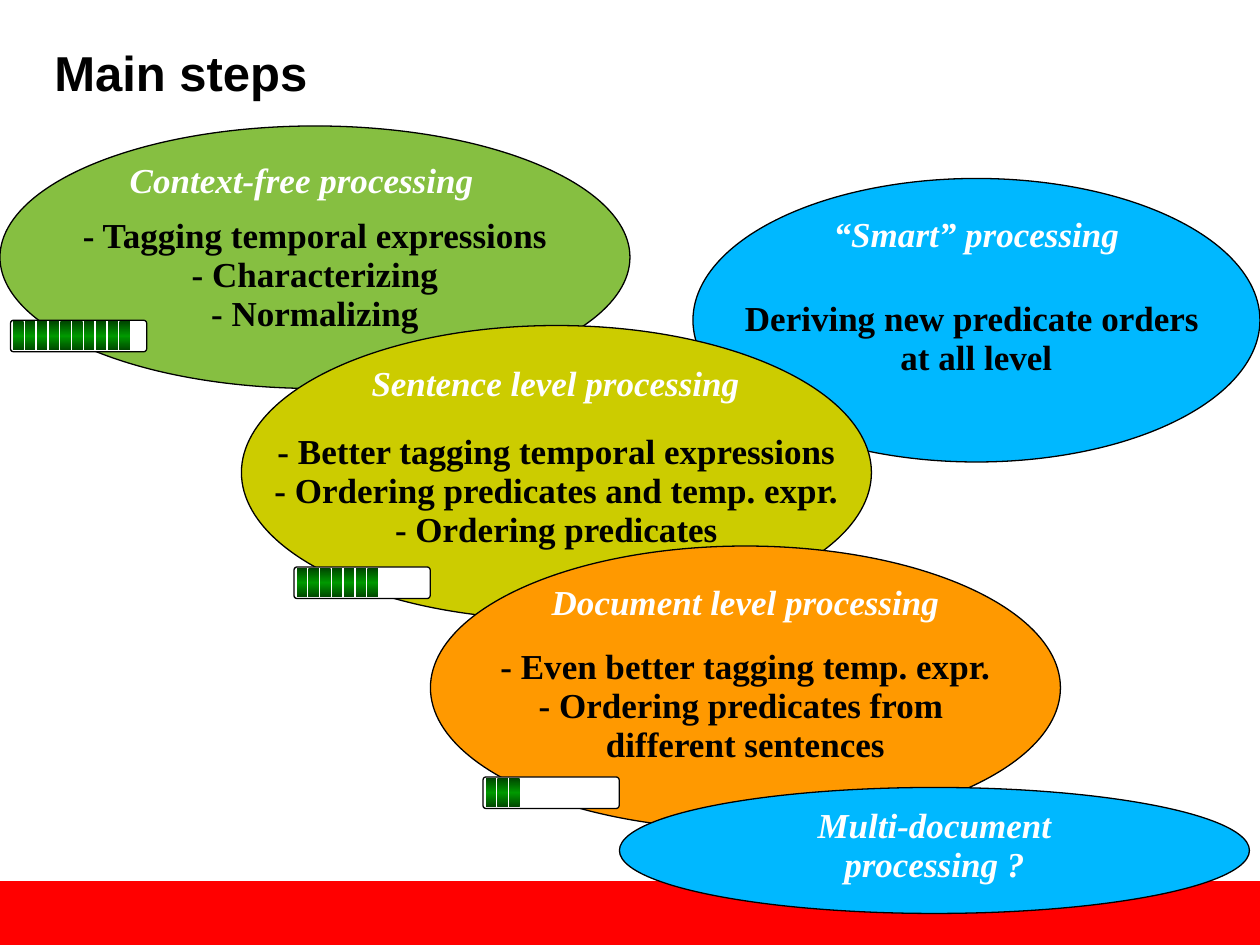
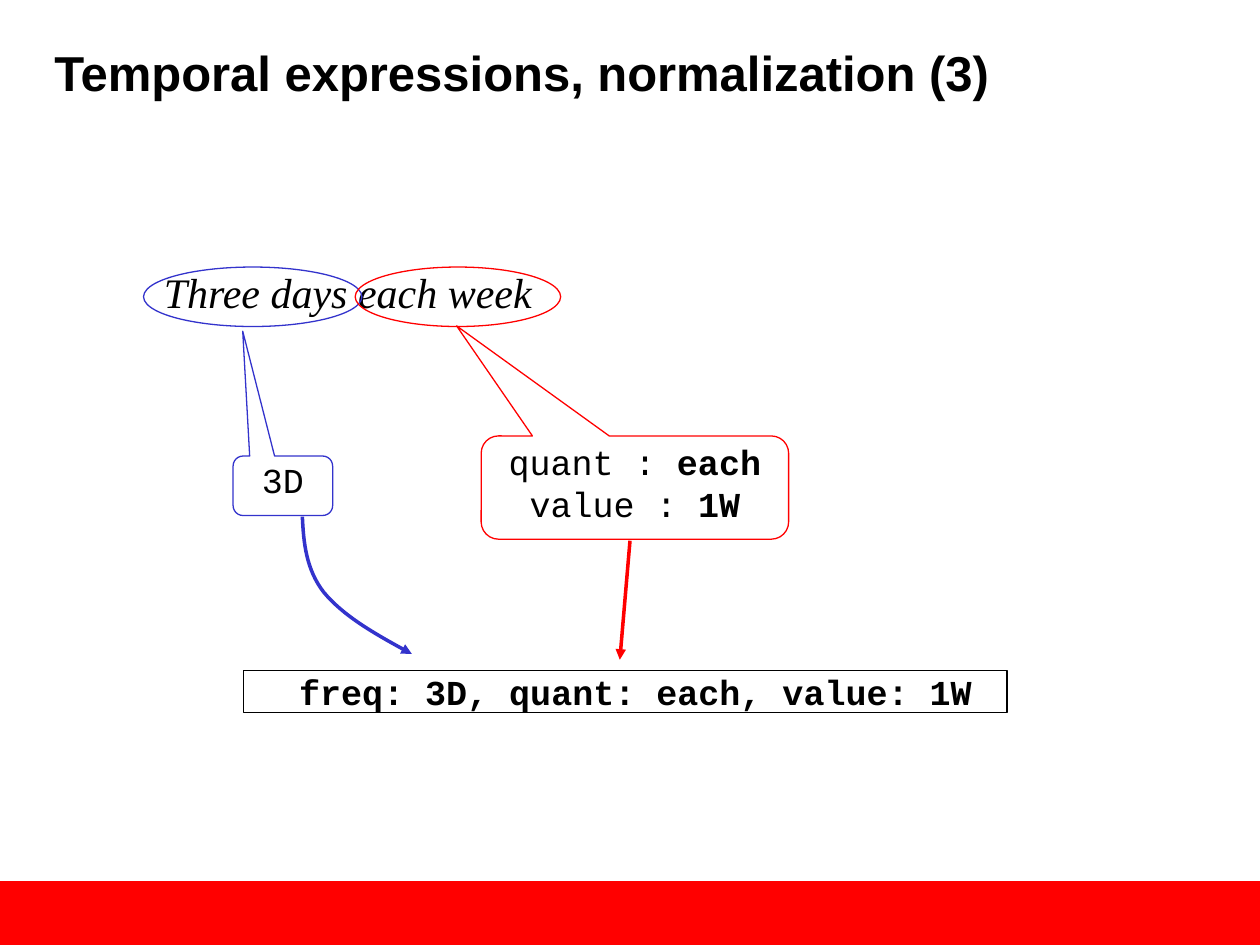
from copy import deepcopy

from lxml.etree import SubElement
from pptx import Presentation
from pptx.dml.color import RGBColor
from pptx.enum.shapes import MSO_CONNECTOR, MSO_SHAPE as Preset
from pptx.enum.text import MSO_ANCHOR as Anchor, PP_ALIGN as Align
from pptx.oxml.ns import qn
from pptx.util import Pt

COLORS = {
    "white": "FFFFFF", "black": "000000", "red": "FF0000", "blue": "3333CC",
    "sky": "00B8FF", "green": "86BF41", "olive": "CCCC00", "orange": "FF9900",
    "cell_dark": "004600", "cell_bright": "009900",
}
SANS, SERIF, MONO = "Arial", "Times New Roman", "Courier New"
SLIDE_SIZE = (720, 540)
BAND_BOX = (0, 503.5, 720, 36.5)
TITLE_BOX = (24, 24, 660, 55)
TEXT_INSETS = (7.2, 3.6, 7.2, 3.6)
BODY_INSETS = (7.2, 25.2, 7.2, 3.6)
NO_INSETS = (0, 0, 0, 0)
TIGHT = 0.93

STEPS_TITLE = "Main steps"
STEPS = [
    {"box": (396, 102, 324, 162), "color": "sky",
     "caption": "“Smart” processing", "caption_box": (456.5, 120.2, 203, 29.5),
     "body": ["Deriving new predicate orders ", "at all level"]},
    {"box": (0, 72, 360, 150), "color": "green", "align": Align.LEFT,
     "caption": "Context-free processing", "caption_box": (67, 89.2, 225.5, 29.5),
     "body": ["- Tagging temporal expressions", "- Characterizing", "- Normalizing"],
     "gauge": (6, 183), "cells": 10},
    {"box": (138, 186, 360, 168), "color": "olive", "align": Align.LEFT,
     "caption": "Sentence level processing", "caption_box": (205.2, 205.2, 225.5, 29.5),
     "body": ["- Better tagging temporal expressions",
              "- Ordering predicates and temp. expr.", "- Ordering predicates"],
     "gauge": (168, 324), "cells": 7},
    {"box": (246, 312, 360, 162), "color": "orange",
     "caption": "Document level processing", "caption_box": (288, 330.5, 276, 29.5),
     "body": ["- Even better tagging temp. expr.",
              "- Ordering predicates from \vdifferent sentences"],
     "gauge": (276, 444), "cells": 3},
    {"box": (354, 450, 360, 72), "color": "sky",
     "caption": "Multi-document processing ?", "caption_box": (421.2, 458, 225.5, 52)},
]
GAUGE_SIZE = (77.8, 18)
CELL_SIZE = (6, 16.6)
CELL_PITCH = 6.75
CELL_MARGIN = (1.5, 0.7)

NORMALIZATION_TITLE = "Temporal expressions, normalization (3)"
PHRASE = "Three days each week"
PHRASE_BOX = (93.6, 152.6, 211.7, 28.8)
TERMS = [
    {"color": "blue", "ring": (82, 152.6, 124.8, 34),
     "callout": (133.2, 260.6, 56.9, 34), "pointer": (-0.403, -2.599, 0.167),
     "lines": [[("3D", False)]]},
    {"color": "red", "ring": (203, 152.6, 117.4, 34),
     "callout": (275, 249.1, 175.7, 59), "pointer": (-0.58, -1.566, 0.167),
     "lines": [[("quant : ", False), ("each", True)],
               [("value : ", False), ("1W", True)]]},
]
RED_ARROW = (360, 309, 354.2, 377)
BLUE_CURVE = [(172.8, 295.2), (173.5, 310.3), (175, 325.4), (185, 338.4),
              (195.8, 351.4), (215.3, 362.9), (235.4, 373.7)]
RESULT = " freq: 3D, quant: each, value: 1W"
RESULT_BOX = (139, 383, 436.5, 24)


def rgb(name):
    return RGBColor.from_string(COLORS[name])


def points(values):
    return [Pt(value) for value in values]


def add_preset(slide, preset, box, fill=None, line=None, width=0.75):
    shape = slide.shapes.add_shape(preset, *points(box))
    style_shape(shape, fill, line, width)
    return shape


def style_shape(shape, fill=None, line=None, width=0.75):
    shape.shadow.inherit = False
    if fill:
        shape.fill.solid()
        shape.fill.fore_color.rgb = rgb(fill)
    else:
        shape.fill.background()
    if line:
        shape.line.color.rgb = rgb(line)
        shape.line.width = Pt(width)
    else:
        shape.line.fill.background()


def write(shape, lines, font, size, color="black", bold=False, italic=False,
          align=Align.CENTER, anchor=Anchor.TOP, insets=TEXT_INSETS,
          spacing=None, wrap=True):
    frame = shape.text_frame
    frame.word_wrap = wrap
    frame.vertical_anchor = anchor
    (frame.margin_left, frame.margin_top,
     frame.margin_right, frame.margin_bottom) = points(insets)
    for index, line in enumerate(lines):
        paragraph = frame.add_paragraph() if index else frame.paragraphs[0]
        paragraph.alignment = align
        paragraph.line_spacing = spacing
        if isinstance(line, str):
            paragraph.text = line
        else:
            for text, strong in line:
                run = paragraph.add_run()
                run.text = text
                run.font.bold = strong
        for run in paragraph.runs:
            run.font.name = font
            run.font.size = Pt(size)
            run.font.color.rgb = rgb(color)
            run.font.italic = italic
            if isinstance(line, str):
                run.font.bold = bold


def add_text(slide, box, text, font, size, **style):
    write(slide.shapes.add_textbox(*points(box)), [text], font, size, **style)


def add_slide(presentation, title):
    slide = presentation.slides.add_slide(presentation.slide_layouts[6])
    add_preset(slide, Preset.RECTANGLE, BAND_BOX, "red")
    add_text(slide, TITLE_BOX, title, SANS, 28, bold=True,
             align=Align.LEFT, spacing=TIGHT)
    return slide


def fill_cell(cell):
    cell.fill.gradient()
    cell.fill.gradient_angle = 90
    edge, middle = cell.fill.gradient_stops
    edge.color.rgb, edge.position = rgb("cell_dark"), 0
    middle.color.rgb, middle.position = rgb("cell_bright"), 0.5
    stops = cell._element.spPr.find(".//" + qn("a:gsLst"))
    last = deepcopy(stops[0])
    last.set("pos", "100000")
    stops.append(last)


def add_gauge(slide, left, top, cells):
    frame = add_preset(slide, Preset.ROUNDED_RECTANGLE,
                       (left, top, *GAUGE_SIZE), "white", "black")
    frame.adjustments[0] = 0.094
    for index in range(cells):
        cell_left = left + CELL_MARGIN[0] + index * CELL_PITCH
        fill_cell(add_preset(slide, Preset.RECTANGLE,
                             (cell_left, top + CELL_MARGIN[1], *CELL_SIZE)))


def add_step(slide, step):
    bubble = add_preset(slide, Preset.OVAL, step["box"], step["color"], "black")
    if "body" in step:
        write(bubble, step["body"], SERIF, 20, bold=True, anchor=Anchor.MIDDLE,
              insets=BODY_INSETS, spacing=TIGHT, wrap=False)
    add_text(slide, step["caption_box"], step["caption"], SERIF, 20, color="white",
             bold=True, italic=True, spacing=TIGHT,
             align=step.get("align", Align.CENTER))
    if "gauge" in step:
        add_gauge(slide, *step["gauge"], step["cells"])


def add_arrowhead(shape):
    SubElement(shape._element.spPr.find(qn("a:ln")), qn("a:tailEnd"), type="triangle")


def add_straight_arrow(slide, ends, color):
    arrow = slide.shapes.add_connector(MSO_CONNECTOR.STRAIGHT, *points(ends))
    arrow.line.color.rgb = rgb(color)
    arrow.line.width = Pt(2)
    add_arrowhead(arrow)
    SubElement(arrow._element.spPr, qn("a:effectLst"))


def add_curved_arrow(slide, controls, color):
    start, *rest = [points(control) for control in controls]
    builder = slide.shapes.build_freeform(*start)
    builder.add_line_segments(rest, close=False)
    arrow = builder.convert_to_shape()
    style_shape(arrow, line=color, width=2)
    outline = arrow._element.spPr.find(".//" + qn("a:path"))
    segments = outline.findall(qn("a:lnTo"))
    for first in range(0, len(segments), 3):
        curve = SubElement(outline, qn("a:cubicBezTo"))
        for segment in segments[first:first + 3]:
            curve.append(segment[0])
            outline.remove(segment)
    add_arrowhead(arrow)


def add_term(slide, term):
    callout = add_preset(slide, Preset.ROUNDED_RECTANGULAR_CALLOUT,
                         term["callout"], line=term["color"])
    for index, value in enumerate(term["pointer"]):
        callout.adjustments[index] = value
    write(callout, term["lines"], MONO, 20, insets=NO_INSETS)
    add_preset(slide, Preset.OVAL, term["ring"], line=term["color"])


def build_steps(presentation):
    slide = add_slide(presentation, STEPS_TITLE)
    for step in STEPS:
        add_step(slide, step)


def build_normalization(presentation):
    slide = add_slide(presentation, NORMALIZATION_TITLE)
    add_text(slide, PHRASE_BOX, PHRASE, SERIF, 24, italic=True,
             align=Align.LEFT, insets=NO_INSETS, wrap=False)
    for term in TERMS:
        add_term(slide, term)
    add_straight_arrow(slide, RED_ARROW, "red")
    add_curved_arrow(slide, BLUE_CURVE, "blue")
    result = add_preset(slide, Preset.RECTANGLE, RESULT_BOX, line="black")
    write(result, [RESULT], MONO, 20, bold=True, insets=NO_INSETS)


def main():
    presentation = Presentation()
    presentation.slide_width, presentation.slide_height = points(SLIDE_SIZE)
    build_steps(presentation)
    build_normalization(presentation)
    presentation.save("out.pptx")


if __name__ == "__main__":
    main()
